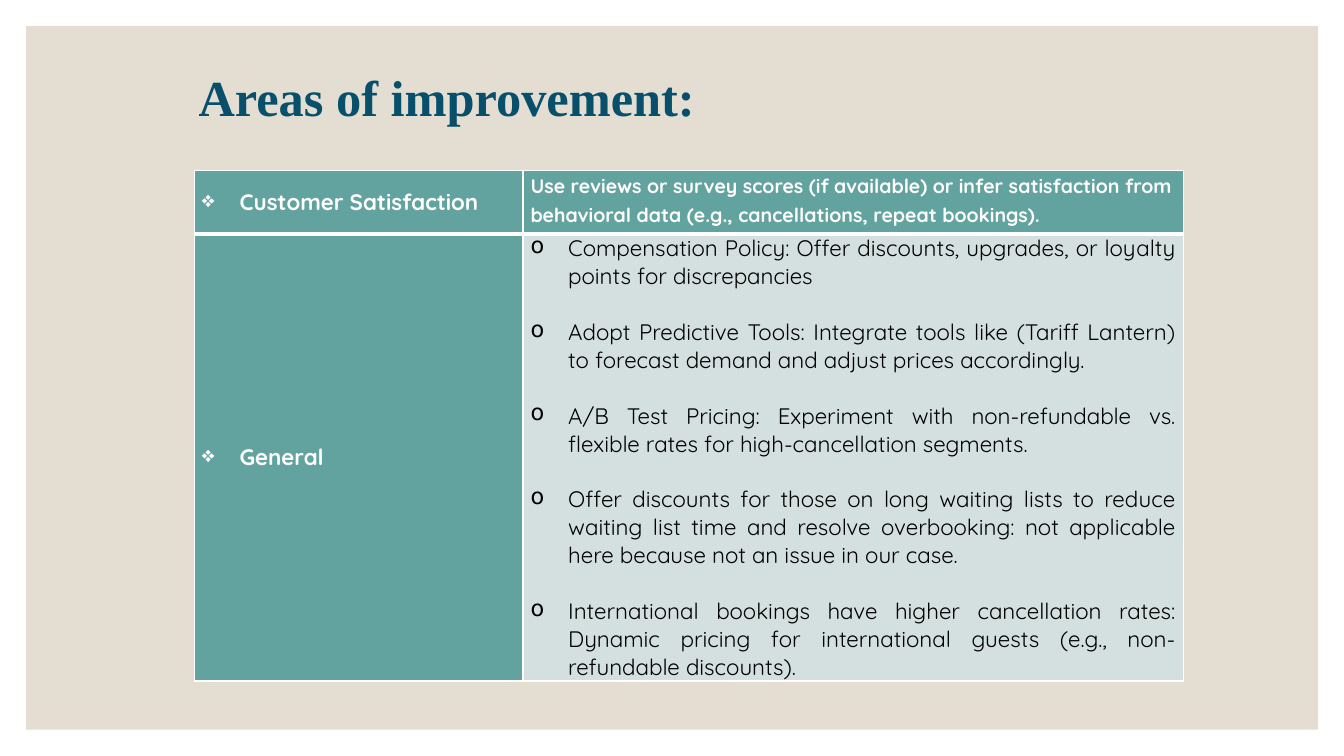
from lxml.etree import SubElement
from pptx import Presentation
from pptx.dml.color import RGBColor
from pptx.enum.shapes import MSO_SHAPE
from pptx.enum.text import MSO_ANCHOR, PP_ALIGN
from pptx.oxml import parse_xml
from pptx.oxml.ns import nsdecls, qn
from pptx.util import Cm, Pt

TITLE = "Areas of improvement:"
SATISFACTION = "Customer Satisfaction"
SATISFACTION_ADVICE = (
    "Use reviews or survey scores (if available) or infer satisfaction from "
    "behavioral data (e.g., cancellations, repeat bookings)."
)
GENERAL = "General"
GENERAL_ADVICE = [
    "Compensation Policy: Offer discounts, upgrades, or loyalty points for discrepancies",
    "Adopt Predictive Tools: Integrate tools like (Tariff Lantern) to forecast demand "
    "and adjust prices accordingly.",
    "A/B Test Pricing: Experiment with non-refundable vs. flexible rates for "
    "high-cancellation segments.",
    "Offer discounts for those on long waiting lists to reduce waiting list time and "
    "resolve overbooking: not applicable here because not an issue in our case.",
    "International bookings have higher cancellation rates: Dynamic pricing for "
    "international guests (e.g., non-refundable discounts).",
]

SAND = RGBColor(0xE3, 0xDE, 0xD1)
NAVY = RGBColor(0x07, 0x4F, 0x6A)
TEAL = RGBColor(0x62, 0xA3, 0x9F)
PALE_TEAL = RGBColor(0xD3, 0xE0, 0xDF)
WHITE = RGBColor(0xFF, 0xFF, 0xFF)
BLACK = RGBColor(0, 0, 0)

BODY_FONT = "Quicksand"
COLUMN_WIDTHS = [Cm(8.28), Cm(16.64)]
ROW_HEIGHTS = [Cm(1.6), Cm(11.25)]
HANGING = Cm(0.95)


def format_font(font, name, size, color, bold):
    font.name = name
    font.size = Pt(size)
    font.color.rgb = color
    font.bold = bold


def add_bullet(paragraph, symbol):
    properties = paragraph._p.get_or_add_pPr()
    properties.set("marL", str(HANGING))
    properties.set("indent", str(-HANGING))
    SubElement(properties, qn("a:buChar"), char=symbol)


def set_borders(cell, widths):
    properties = cell._tc.get_or_add_tcPr()
    for index, (side, width) in enumerate(zip("LRTB", widths)):
        properties.insert(index, parse_xml(
            f'<a:ln{side} {nsdecls("a")} w="{Pt(width)}"><a:solidFill>'
            f'<a:srgbClr val="{WHITE}"/></a:solidFill></a:ln{side}>'
        ))


def fill_cell(cell, lines, color, size, ink, bold, bullet, align, anchor):
    cell.fill.solid()
    cell.fill.fore_color.rgb = color
    cell.margin_left = cell.margin_right = Cm(0.19)
    cell.margin_top = cell.margin_bottom = 0
    cell.vertical_anchor = anchor
    cell.text_frame.text = "\n".join(lines)
    for index, paragraph in enumerate(cell.text_frame.paragraphs):
        if bullet:
            add_bullet(paragraph, bullet)
        else:
            paragraph.line_spacing = 1.15
        paragraph.alignment = align
        if index:
            paragraph.space_before = Pt(20)
        for span in paragraph.runs:
            format_font(span.font, BODY_FONT, size, ink, bold)


def main():
    deck = Presentation()
    deck.slide_width, deck.slide_height = Cm(33.87), Cm(19.05)
    page = deck.slides.add_slide(deck.slide_layouts[5])

    title = page.shapes.title
    title.left, title.top, title.width, title.height = Cm(4.75), Cm(1.35), Cm(27.94), Cm(2.36)
    title.text_frame.text = TITLE
    title.text_frame.vertical_anchor = MSO_ANCHOR.MIDDLE
    heading = title.text_frame.paragraphs[0]
    heading.alignment = PP_ALIGN.LEFT
    heading.line_spacing = 0.9
    format_font(heading.runs[0].font, "Times New Roman", 36, NAVY, True)

    panel = page.shapes.add_shape(MSO_SHAPE.RECTANGLE, Cm(0.66), Cm(0.66), Cm(32.56), Cm(17.73))
    panel.shadow.inherit = False
    panel.fill.solid()
    panel.fill.fore_color.rgb = SAND
    panel.line.fill.background()
    title.element.addprevious(panel.element)

    table = page.shapes.add_table(
        2, 2, Cm(4.9), Cm(4.3), sum(COLUMN_WIDTHS), sum(ROW_HEIGHTS)
    ).table
    table.horz_banding = False
    for column, width in zip(table.columns, COLUMN_WIDTHS):
        column.width = width
    for row, height in zip(table.rows, ROW_HEIGHTS):
        row.height = height

    left, justified = PP_ALIGN.LEFT, PP_ALIGN.JUSTIFY
    top, middle = MSO_ANCHOR.TOP, MSO_ANCHOR.MIDDLE
    fill_cell(table.cell(0, 0), [SATISFACTION], TEAL, 16, WHITE, True, "❖", left, middle)
    fill_cell(table.cell(0, 1), [SATISFACTION_ADVICE], TEAL, 14, WHITE, True, None, left, top)
    fill_cell(table.cell(1, 0), [GENERAL], TEAL, 16, WHITE, True, "❖", justified, middle)
    fill_cell(table.cell(1, 1), GENERAL_ADVICE, PALE_TEAL, 16, BLACK, False, "o", justified, top)
    for column in range(2):
        set_borders(table.cell(0, column), (1, 1, 1, 3))
        set_borders(table.cell(1, column), (1, 1, 3, 1))

    deck.save("out.pptx")


if __name__ == "__main__":
    main()
